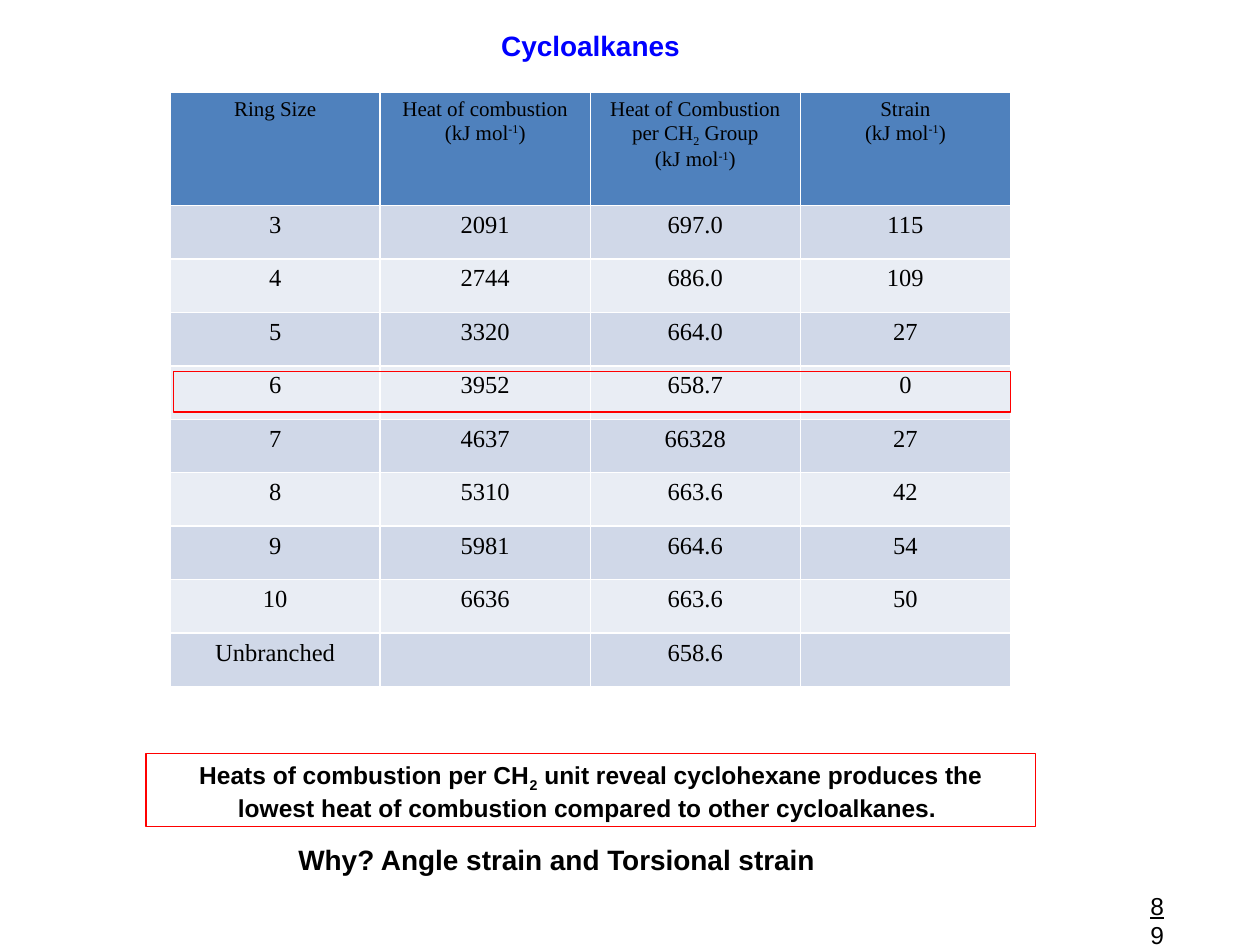
import pptx
import pptx.dml.color
import pptx.enum.shapes
import pptx.enum.text
import pptx.oxml
import pptx.oxml.ns
import pptx.util
from pptx.util import Inches

RGBColor = pptx.dml.color.RGBColor
BLACK = RGBColor(0x00, 0x00, 0x00)
WHITE = RGBColor(0xFF, 0xFF, 0xFF)
RED = RGBColor(0xFF, 0x00, 0x00)
BLUE = RGBColor(0x00, 0x00, 0xFF)
HEADER_BLUE = RGBColor(0x4F, 0x81, 0xBD)
BANDS = (RGBColor(0xD0, 0xD8, 0xE8), RGBColor(0xE9, 0xED, 0xF4))

CENTER = pptx.enum.text.PP_ALIGN.CENTER
LEFT = pptx.enum.text.PP_ALIGN.LEFT
SUB, SUPER = -25000, 30000

UNIT = [("(kJ mol", 0), ("-1", SUPER), (")", 0)]
HEADINGS = [
    [[("Ring Size", 0)]],
    [[("Heat of combustion", 0)], UNIT],
    [[("Heat of Combustion per CH", 0), ("2", SUB), (" Group", 0)], UNIT],
    [[("Strain", 0)], UNIT],
]
RINGS = [
    ("3", "2091", "697.0", "115"),
    ("4", "2744", "686.0", "109"),
    ("5", "3320", "664.0", "27"),
    ("6", "3952", "658.7", "0"),
    ("7", "4637", "66328", "27"),
    ("8", "5310", "663.6", "42"),
    ("9", "5981", "664.6", "54"),
    ("10", "6636", "663.6", "50"),
    ("Unbranched", "", "658.6", ""),
]
CONCLUSION = [
    ("Heats of combustion per CH", 0),
    ("2", SUB),
    (" unit reveal cyclohexane produces the lowest heat of combustion"
     " compared to other cycloalkanes. ", 0),
]


def write(frame, paragraphs, align=LEFT, size=14, color=BLACK, **font_format):
    """Fill a text frame; each paragraph is a list of (text, baseline) runs."""
    values = {"name": "Arial", "size": pptx.util.Pt(size), **font_format}
    for index, parts in enumerate(paragraphs):
        paragraph = frame.add_paragraph() if index else frame.paragraphs[0]
        paragraph.alignment = align
        for text, baseline in parts:
            run = paragraph.add_run()
            run.text = text
            for attribute, value in values.items():
                setattr(run.font, attribute, value)
            run.font.color.rgb = color
            if baseline:
                run.font._element.set("baseline", str(baseline))


def add_label(slide, box, text, **text_format):
    frame = slide.shapes.add_textbox(*box).text_frame
    frame.word_wrap = False
    write(frame, [[(text, 0)]], **text_format)


def add_page_number(slide, box, number):
    frame = slide.shapes.add_textbox(*box).text_frame
    frame.word_wrap = True
    for side in ("left", "top", "right", "bottom"):
        setattr(frame, f"margin_{side}", 0)
    write(frame, [[(number, 0)]], underline=True)
    properties = frame.paragraphs[0]._p.get_or_add_pPr()
    properties.set("marL", str(Inches(0.13)))
    properties.set("indent", "0")


def add_red_frame(slide, box):
    """Add an unfilled rectangle with a thin red outline."""
    outline = slide.shapes.add_shape(
        pptx.enum.shapes.MSO_SHAPE.RECTANGLE, *box)
    outline.shadow.inherit = False
    outline.fill.background()
    outline.line.color.rgb = RED
    outline.line.width = pptx.util.Pt(0.75)
    return outline


def add_conclusion(slide, box):
    frame = add_red_frame(slide, box).text_frame
    frame.word_wrap = True
    frame.vertical_anchor = pptx.enum.text.MSO_ANCHOR.TOP
    write(frame, [CONCLUSION], CENTER, bold=True)


def set_borders(cell):
    properties = cell._tc.get_or_add_tcPr()
    for index, side in enumerate("LRTB"):
        border = pptx.oxml.parse_xml(
            f'<a:ln{side} {pptx.oxml.ns.nsdecls("a")} w="{pptx.util.Pt(1)}">'
            f'<a:solidFill><a:srgbClr val="{WHITE}"/></a:solidFill></a:ln{side}>')
        properties.insert(index, border)


def add_combustion_table(slide, box, header_height):
    cells = HEADINGS, *([[[(value, 0)]] for value in ring] for ring in RINGS)
    table = slide.shapes.add_table(len(cells), len(HEADINGS), *box).table
    for column in table.columns:
        column.width = int(box[2] / len(HEADINGS))
    for index, row in enumerate(table.rows):
        is_header = index == 0
        row.height = (header_height if is_header
                      else int((box[3] - header_height) / len(RINGS)))
        for cell, paragraphs in zip(row.cells, cells[index]):
            cell.fill.solid()
            cell.fill.fore_color.rgb = (
                HEADER_BLUE if is_header else BANDS[(index - 1) % 2])
            set_borders(cell)
            if paragraphs != [[("", 0)]]:
                write(cell.text_frame, paragraphs, CENTER,
                      size=12 if is_header else 14, name="Times New Roman",
                      bold=False)


def inches(*lengths):
    return [Inches(length) for length in lengths]


def main():
    presentation = pptx.Presentation()
    presentation.slide_width, presentation.slide_height = inches(10, 7.5)
    slide = presentation.slides.add_slide(presentation.slide_layouts[6])

    add_page_number(slide, inches(9, 7.07, 0.27, 0.24), "89")
    add_conclusion(slide, inches(1.16, 5.98, 7.06, 0.58))
    add_label(slide, inches(2.27, 6.64, 4.36, 0.37),
              "Why? Angle strain and Torsional strain", size=16, bold=True)
    add_combustion_table(slide, inches(1.35, 0.73, 6.67, 4.72), Inches(0.9))
    add_red_frame(slide, inches(1.38, 2.95, 6.64, 0.32))
    add_label(slide, inches(3.88, 0.18, 1.63, 0.37), "Cycloalkanes",
              size=16, color=BLUE, bold=True)

    presentation.save("out.pptx")


if __name__ == "__main__":
    main()
